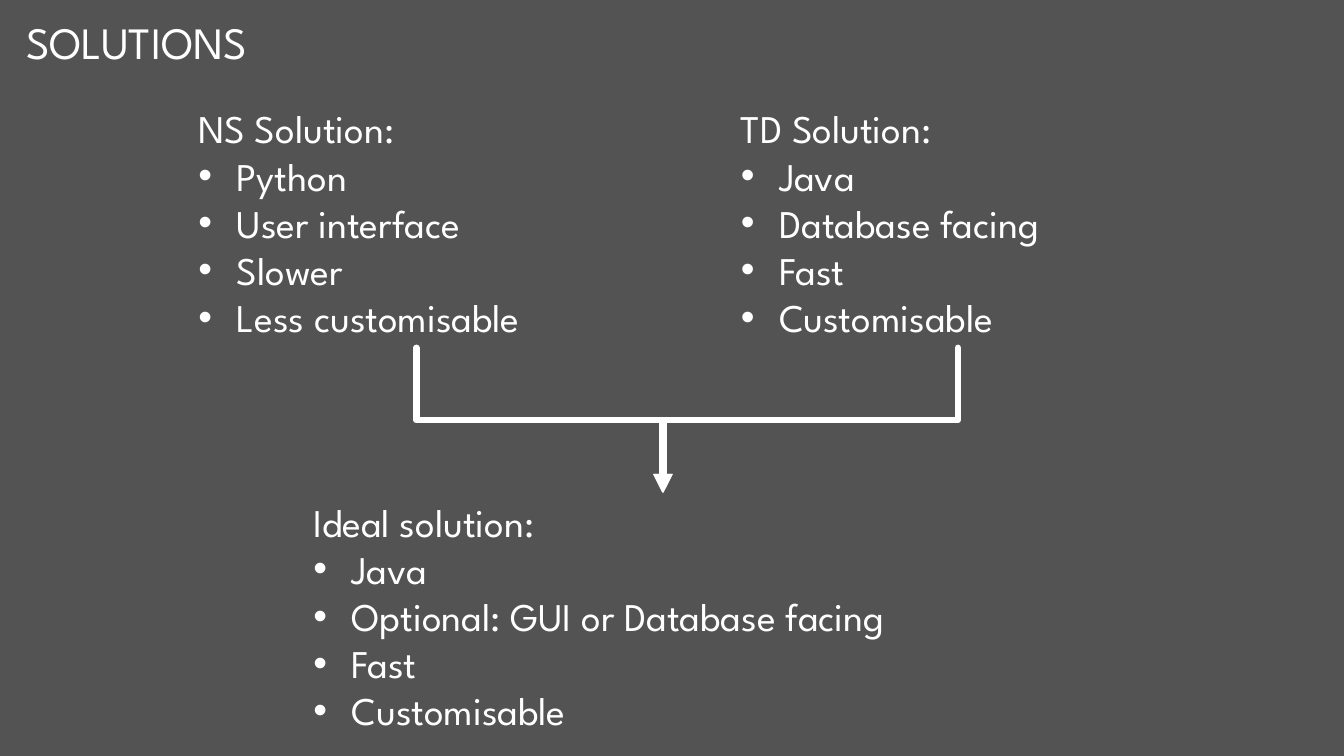
from lxml import etree
from pptx import Presentation
from pptx import util as u
from pptx.dml.color import RGBColor
from pptx.enum import shapes, text
from pptx.oxml import ns

PX = 9144  # EMU per px, 100 px to the inch
WHITE = RGBColor(0xFF, 0xFF, 0xFF)
GREY = RGBColor(0x53, 0x53, 0x53)
FONT = "League Spartan"
INDENT = 38


def add_text(box, lines, size, **frame):
    tf = s.shapes.add_textbox(*[v * PX for v in box]).text_frame
    for name, value in {"word_wrap": True, **frame}.items():
        setattr(tf, name, value)
    tf.text = "\n".join(lines)
    for p in tf.paragraphs:
        for name, value in {"name": FONT, "size": u.Pt(size)}.items():
            setattr(p.runs[0].font, name, value)
        p.runs[0].font.color.rgb = WHITE
    return tf


def add_xml(parent, tag, **attrs):
    return etree.SubElement(parent, ns.qn(tag), **attrs)


prs = Presentation()
prs.slide_width, prs.slide_height = 1333 * PX, 750 * PX
s = prs.slides.add_slide(prs.slide_layouts[6])
s.background.fill.solid()
s.background.fill.fore_color.rgb = GREY

# Title
add_text((16, 8, 1083, 67), ["SOLUTIONS"], 32,
         vertical_anchor=text.MSO_ANCHOR.MIDDLE)

# Solution lists: left, top, width, heading, bullets
solutions = [
    (187, 99, 452, "NS Solution:",
     ["Python", "User interface", "Slower", "Less customisable"]),
    (725, 99, 452, "TD Solution:",
     ["Java", "Database facing", "Fast", "Customisable"]),
    (301, 489, 713, "Ideal solution:",
     ["Java", "Optional: GUI or Database facing", "Fast", "Customisable"]),
]
for left, top, width, heading, bullets in solutions:
    tf = add_text((left, top, width, 246), [heading, *bullets], 28,
                  auto_size=text.MSO_AUTO_SIZE.SHAPE_TO_FIT_TEXT)
    for p in tf.paragraphs[1:]:
        pPr = p._p.get_or_add_pPr()
        pPr.set("marL", str(INDENT * PX))
        pPr.set("indent", str(-INDENT * PX))
        add_xml(pPr, "a:buFont", typeface="Arial")
        add_xml(pPr, "a:buChar", char="•")

# Elbow arrows from both solutions to the ideal one, turned to run downwards
end_x, start_y, end_y = 658, 345, 489
mid_y, drop = (start_y + end_y) // 2, end_y - start_y
for start_x in (413, 951):
    mid_x, run = (start_x + end_x) // 2, abs(end_x - start_x)
    x1, x2 = mid_x - drop // 2, mid_x + drop // 2
    y1, y2 = mid_y - run // 2, mid_y + run // 2
    rightward = start_x < end_x
    if rightward:
        x1, x2 = x2, x1
    arrow = s.shapes.add_connector(shapes.MSO_CONNECTOR.ELBOW,
                                   x1 * PX, y1 * PX, x2 * PX, y2 * PX)
    spPr = arrow._element.spPr
    spPr.find(ns.qn("a:xfrm")).set("rot", str((270 if rightward else 90) * 60000))
    arrow.line.color.rgb = WHITE
    arrow.line.width = u.Pt(4.5)
    ln = spPr.find(ns.qn("a:ln"))
    ln.set("cap", "rnd")
    add_xml(ln, "a:round")
    add_xml(ln, "a:tailEnd", type="triangle")
    add_xml(spPr, "a:effectLst")

prs.save("out.pptx")
